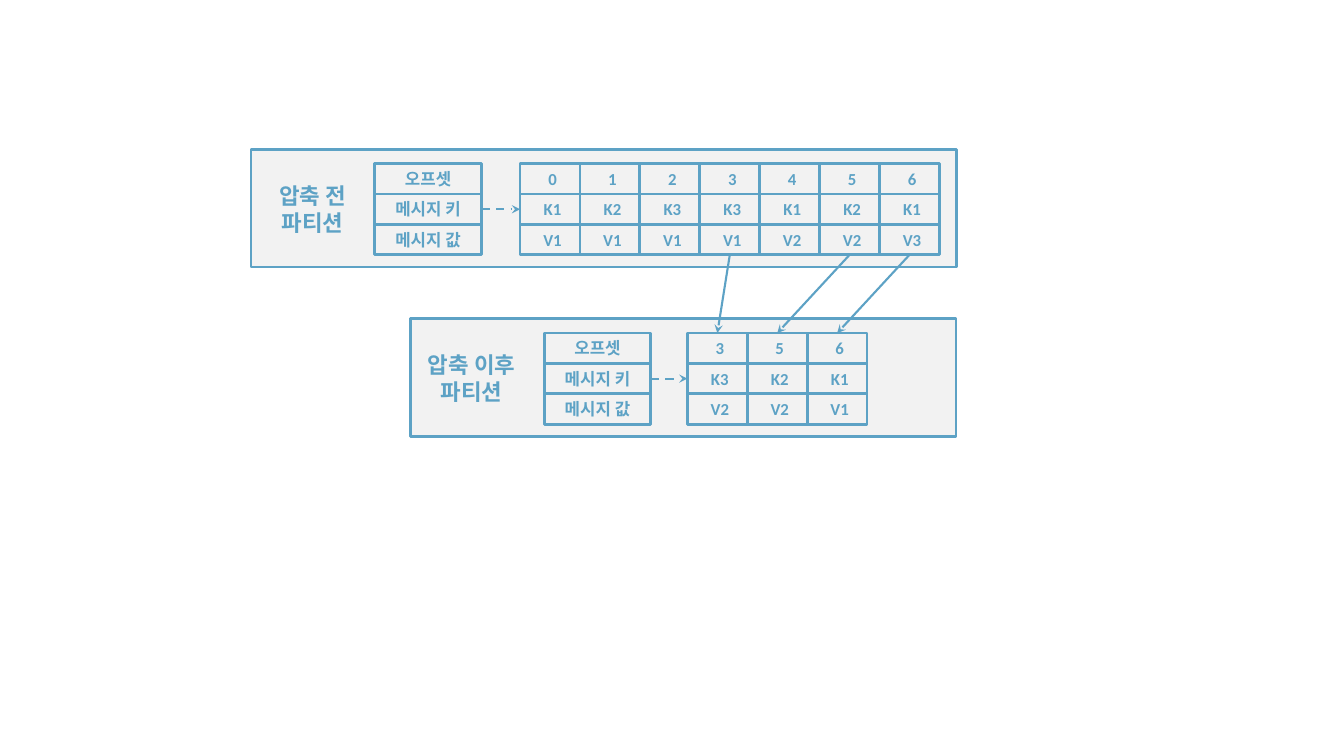
from pptx import Presentation
from pptx.dml.color import RGBColor
from pptx.enum.dml import MSO_LINE
from pptx.enum.shapes import MSO_CONNECTOR, MSO_SHAPE
from pptx.enum.text import MSO_ANCHOR, PP_ALIGN
from pptx.oxml.ns import qn
from pptx.util import Pt
from lxml.etree import SubElement

ROW_LABELS = ["오프셋", "메시지 키", "메시지 값"]
BEFORE = {
    "title": ["압축 전", "파티션"],
    "rows": [
        ["0", "1", "2", "3", "4", "5", "6"],
        ["K1", "K2", "K3", "K3", "K1", "K2", "K1"],
        ["V1", "V1", "V1", "V1", "V2", "V2", "V3"],
    ],
    "left": 179.3, "top": 106.6, "labels_left": 267.8, "cells_left": 371.5,
}
AFTER = {
    "title": ["압축 이후", "파티션"],
    "rows": [["3", "5", "6"], ["K3", "K2", "K1"], ["V2", "V2", "V1"]],
    "left": 293, "top": 227.6, "labels_left": 388.8, "cells_left": 491,
}

BLUE = RGBColor(0x5D, 0xA2, 0xC5)
GRAY = RGBColor(0xF2, 0xF2, 0xF2)
FONT = "Calibri"
PANEL_RIGHT, PANEL_HEIGHT = 683, 84.2
GRID_OFFSET, TITLE_OFFSET = 10.3, 19.7
TITLE_WIDTH, TITLE_HEIGHT = 87.8, 46
LABEL_WIDTH, CELL_WIDTH, ROW_HEIGHT = 76, 42.8, 21.7
CELL_INSET = 3.6
TOP, LEFT, BOTTOM, RIGHT = range(4)


def write(frame, lines, size):
    frame.text = "\n".join(lines)
    frame.word_wrap = True
    for paragraph in frame.paragraphs:
        paragraph.alignment = PP_ALIGN.CENTER
        paragraph.font.name = FONT
        paragraph.font.size = Pt(size)
        paragraph.font.bold = True
        paragraph.font.color.rgb = BLUE


def add_box(slide, left, top, width, height):
    box = slide.shapes.add_shape(
        MSO_SHAPE.RECTANGLE, Pt(left), Pt(top), Pt(width), Pt(height))
    box.shadow.inherit = False
    box.fill.background()
    box.line.color.rgb = BLUE
    box.line.width = Pt(2)
    return box


def add_cell(slide, left, top, width, text, inset=0):
    cell = add_box(slide, left, top, width, ROW_HEIGHT)
    frame = cell.text_frame
    frame.margin_left = Pt(inset)
    frame.margin_right = frame.margin_top = frame.margin_bottom = 0
    frame.vertical_anchor = MSO_ANCHOR.MIDDLE
    write(frame, [text], 12)
    return cell


def add_arrow(slide, source, source_side, target, target_side, dashed=False):
    arrow = slide.shapes.add_connector(MSO_CONNECTOR.STRAIGHT, 0, 0, 0, 0)
    arrow.begin_connect(source, source_side)
    arrow.end_connect(target, target_side)
    arrow.line.color.rgb = BLUE
    arrow.line.width = Pt(1.5)
    if dashed:
        arrow.line.dash_style = MSO_LINE.DASH
    SubElement(arrow.line._get_or_add_ln(), qn("a:tailEnd"), type="stealth")
    SubElement(arrow._element.spPr, qn("a:effectLst"))


def add_partition(slide, partition):
    """Draw one partition and return its bottom and top cells by offset."""
    left, top = partition["left"], partition["top"]
    panel = add_box(slide, left, top, PANEL_RIGHT - left, PANEL_HEIGHT)
    panel.fill.solid()
    panel.fill.fore_color.rgb = GRAY

    title = slide.shapes.add_textbox(
        Pt(left), Pt(top + TITLE_OFFSET), Pt(TITLE_WIDTH), Pt(TITLE_HEIGHT))
    write(title.text_frame, partition["title"], 16)

    labels, grid = [], []
    for row, (label, values) in enumerate(zip(ROW_LABELS, partition["rows"])):
        row_top = top + GRID_OFFSET + row * ROW_HEIGHT
        labels.append(add_cell(
            slide, partition["labels_left"], row_top, LABEL_WIDTH, label))
        grid.append([
            add_cell(slide, partition["cells_left"] + column * CELL_WIDTH,
                     row_top, CELL_WIDTH, value, CELL_INSET)
            for column, value in enumerate(values)])
    add_arrow(slide, labels[1], RIGHT, grid[1][0], LEFT, dashed=True)

    offsets = partition["rows"][0]
    return dict(zip(offsets, grid[-1])), dict(zip(offsets, grid[0]))


def main():
    presentation = Presentation()
    presentation.slide_width = Pt(960)
    presentation.slide_height = Pt(540)
    slide = presentation.slides.add_slide(presentation.slide_layouts[6])

    value_cells, _ = add_partition(slide, BEFORE)
    _, kept_cells = add_partition(slide, AFTER)
    for offset, kept_cell in kept_cells.items():
        add_arrow(slide, value_cells[offset], BOTTOM, kept_cell, TOP)

    presentation.save("out.pptx")


if __name__ == "__main__":
    main()
